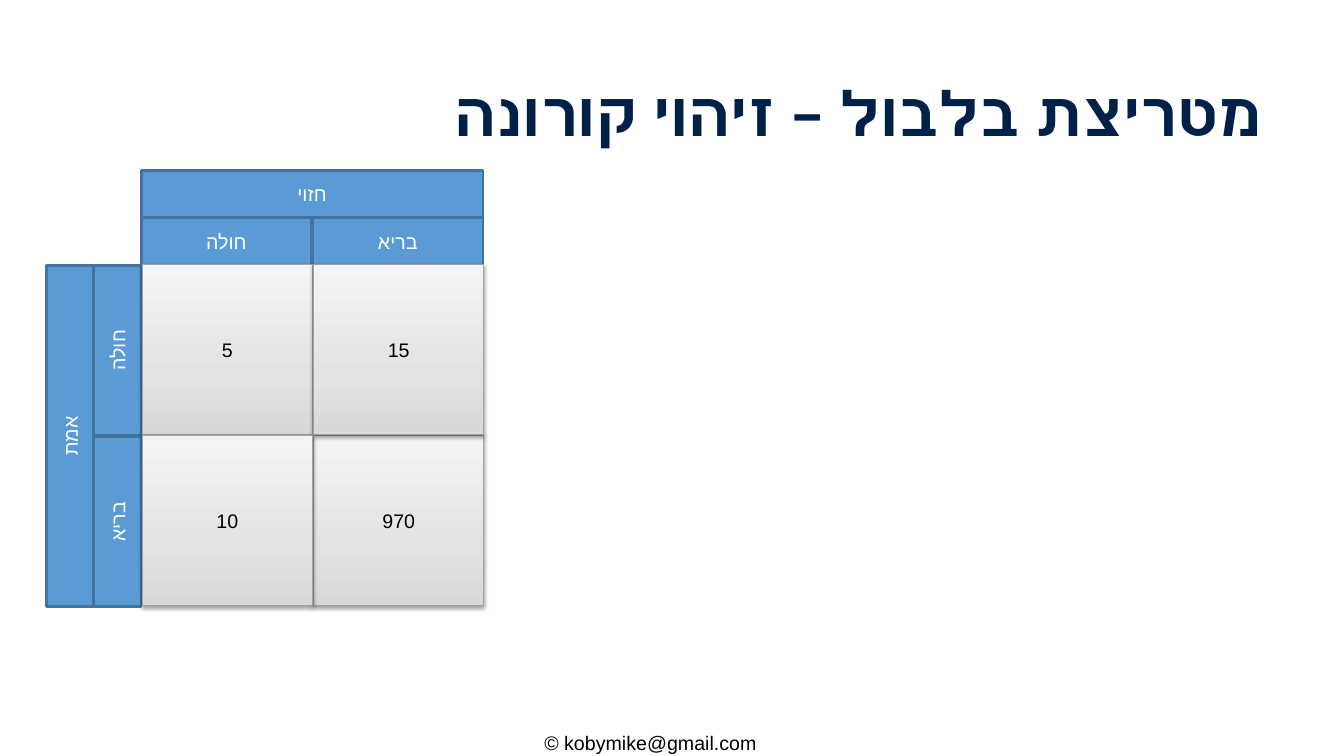
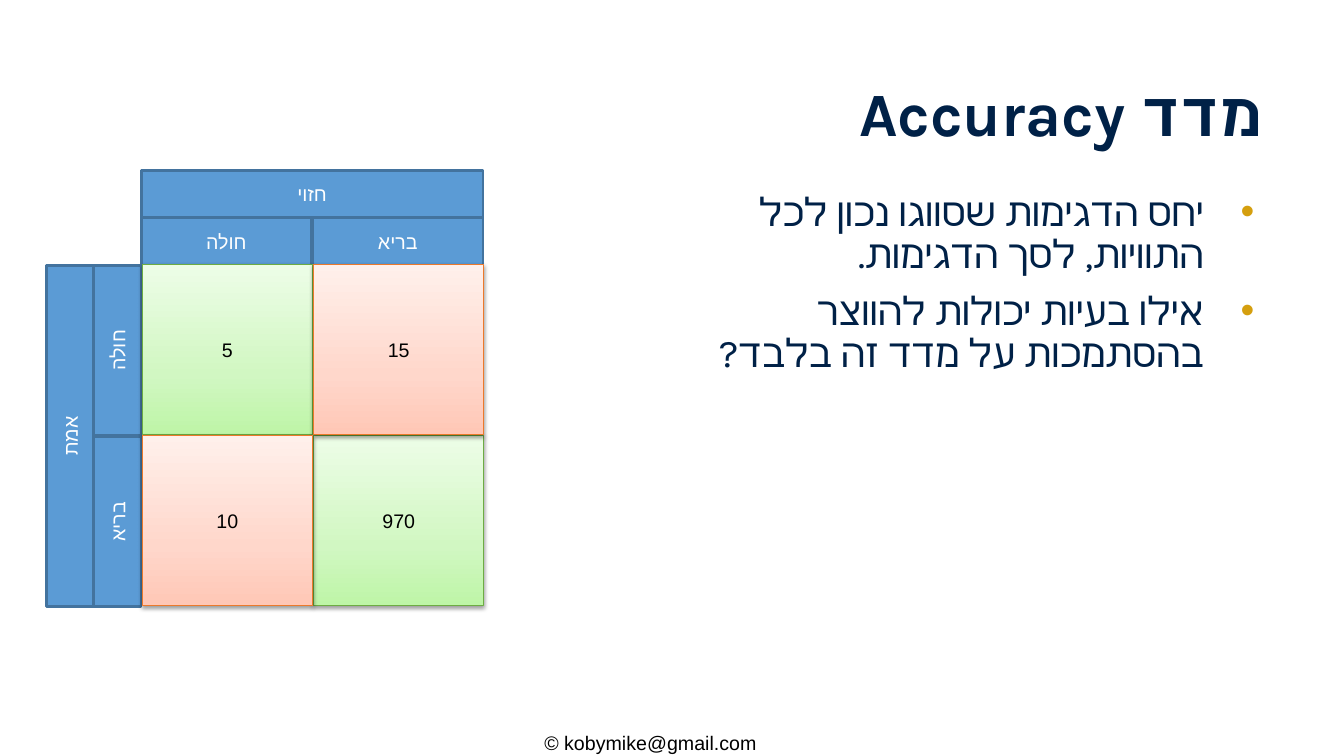
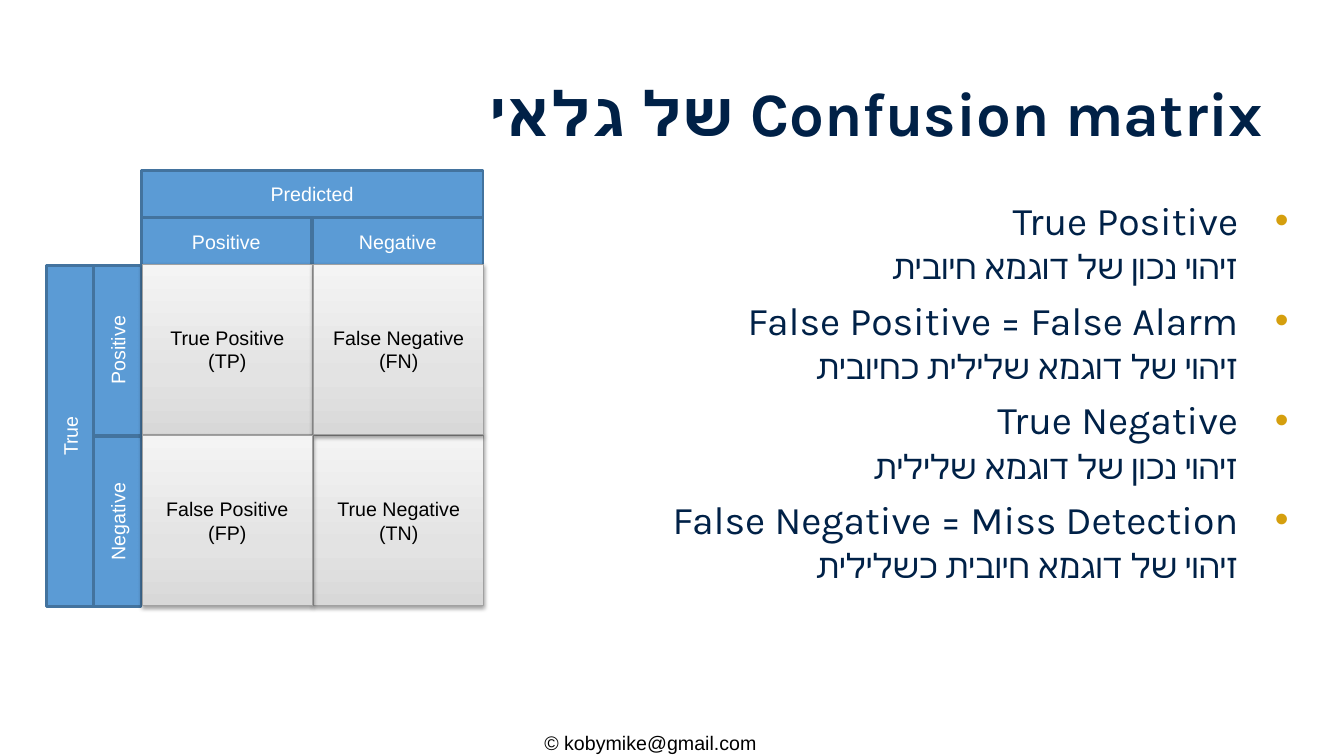
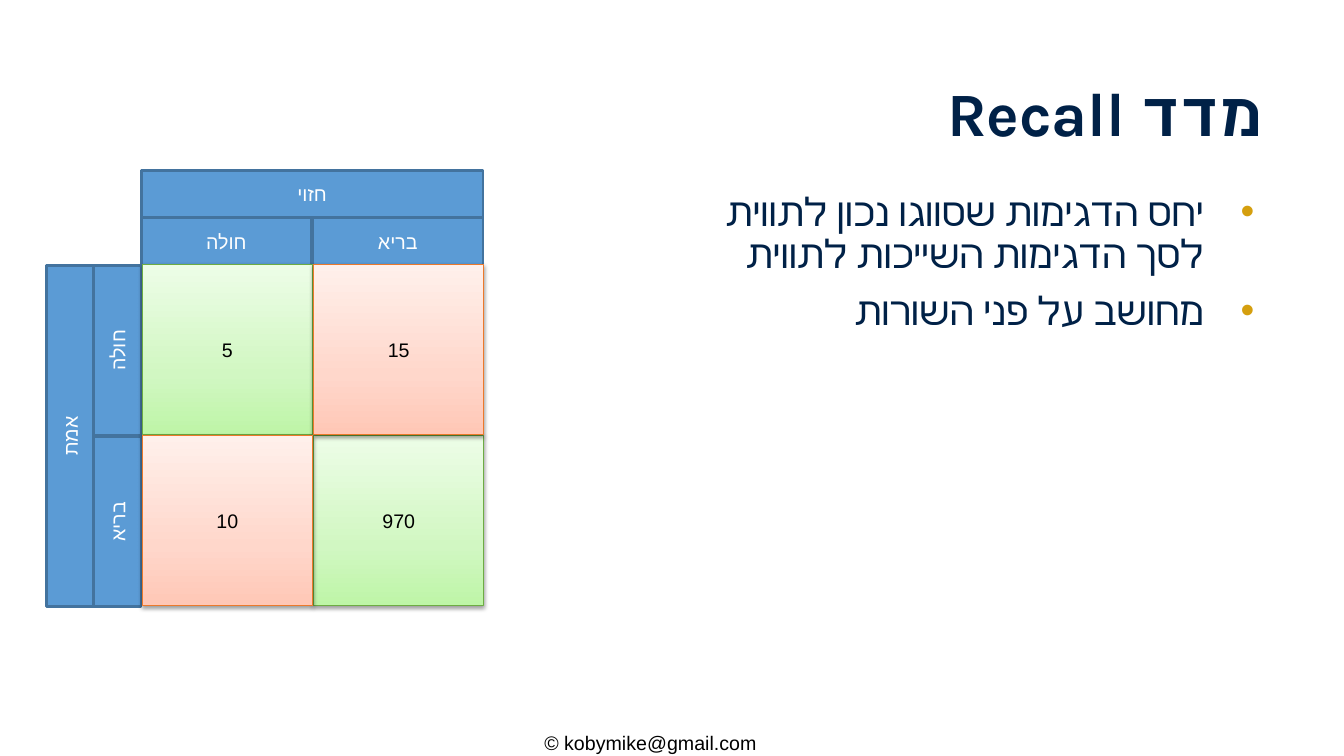
from dataclasses import dataclass

from lxml import etree
from pptx import Presentation
from pptx.dml.color import RGBColor
from pptx.enum.shapes import MSO_SHAPE
from pptx.enum.text import MSO_ANCHOR, MSO_AUTO_SIZE, PP_ALIGN
from pptx.oxml.ns import qn
from pptx.util import Inches, Pt

RECTANGLE = MSO_SHAPE.RECTANGLE
MIDDLE, TOP = MSO_ANCHOR.MIDDLE, MSO_ANCHOR.TOP
LEFT, CENTER, RIGHT = PP_ALIGN.LEFT, PP_ALIGN.CENTER, PP_ALIGN.RIGHT
NO_FIT = MSO_AUTO_SIZE.NONE
TITLE_AND_BODY, TITLE_ONLY = 1, 5


@dataclass(frozen=True)
class Tone:
    """Gradient from bottom to top and the outline of a matrix cell."""

    bottom: str
    middle: str
    top: str
    line: str


@dataclass(frozen=True)
class Theme:
    """Colours, fonts and type sizes of the deck."""

    navy: str = "002147"
    gold: str = "D59F0E"
    black: str = "000000"
    white: str = "FFFFFF"
    header: str = "5B9BD5"
    header_line: str = "43739E"
    neutral: Tone = Tone("D8D8D8", "E3E3E3", "F4F4F4", "A1A1A1")
    correct: Tone = Tone("BEF5A7", "D1F7C2", "EDFDE7", "6DAC43")
    wrong: Tone = Tone("FFC7B6", "FFD7CB", "FFF0EB", "EC792B")
    text_font: str = "Karla"
    label_font: str = "Arial"
    title_size: int = 44
    body_size: int = 28
    detail_size: int = 24
    label_size: int = 14


THEME = Theme()
FOOTER = "© kobymike@gmail.com"
CELL, PITCH, STRIP = 1.69, 1.7, 0.47
HEADER_LEFT, HEADER_TOP = 1.4, 1.69
GRID_LEFT, GRID_TOP = 1.41, 2.62
SPAN = 2 * CELL + 0.01
HEBREW = ("חזוי", "אמת", ("חולה", "בריא"))
ENGLISH = ("Predicted", "True", ("Positive", "Negative"))
COUNTS = (("5", "15"), ("10", "970"))
OUTCOMES = (("True Positive (TP)", "False Negative (FN)"),
            ("False Positive (FP)", "True Negative (TN)"))


def assign(target, values):
    """Set every attribute named in values on target."""
    for name, value in values.items():
        setattr(target, name, value)


class Builder:
    """Holds the deck style and the current slide."""

    def __init__(self, theme):
        """Start an empty widescreen deck."""
        self.theme = theme
        self.deck = Presentation()
        assign(self.deck, {"slide_width": Inches(13.33), "slide_height": Inches(7.5)})
        self.page = None

    def new_page(self, title, layout):
        """Add a slide with its footer and title."""
        self.page = self.deck.slides.add_slide(self.deck.slide_layouts[layout])
        self.footer()
        self.title(title)

    def place(self, shape, left, top, width, height):
        """Move and size a shape given in inches."""
        assign(shape, {"left": Inches(left), "top": Inches(top),
                       "width": Inches(width), "height": Inches(height)})

    def add_span(self, para, text, size, color, font, bold=False):
        """Add one formatted run to a paragraph."""
        span = para.add_run()
        span.text = text
        assign(span.font, {"size": Pt(size), "bold": bold, "name": font})
        span.font.color.rgb = RGBColor.from_string(color)
        complex_font = etree.SubElement(span._r.get_or_add_rPr(), qn("a:cs"))
        complex_font.set("typeface", font)

    def label(self, shape, text, color, align=CENTER, anchor=MIDDLE):
        """Put a small label inside a shape."""
        assign(shape.text_frame, {"word_wrap": True, "vertical_anchor": anchor})
        para = shape.text_frame.paragraphs[0]
        para.alignment = align
        self.add_span(para, text, self.theme.label_size, color, self.theme.label_font)

    def right_to_left(self, para, margin, indent, before=0, bullet=False):
        """Format a paragraph that reads from the right."""
        properties = para._p.get_or_add_pPr()
        for name, value in {"marL": Inches(margin), "indent": Inches(indent), "rtl": 1}.items():
            properties.set(name, str(value))
        if bullet:
            color = etree.SubElement(properties, qn("a:buClr"))
            etree.SubElement(color, qn("a:srgbClr")).set("val", self.theme.gold)
            etree.SubElement(properties, qn("a:buFont")).set("typeface", self.theme.label_font)
            etree.SubElement(properties, qn("a:buChar")).set("char", "•")
        else:
            etree.SubElement(properties, qn("a:buNone"))
        assign(para, {"alignment": RIGHT, "line_spacing": 0.9, "space_before": Pt(before)})

    def footer(self):
        """Add the copyright line."""
        box = self.page.shapes.add_textbox(Inches(5.3), Inches(7.2), Inches(2.73), Inches(0.4))
        self.label(box, FOOTER, self.theme.black, LEFT, TOP)

    def title(self, text):
        """Fill the title placeholder."""
        box = self.page.shapes.title
        self.place(box, 0.38, 0.4, 12.5, 1.51)
        assign(box.text_frame, {"vertical_anchor": MIDDLE, "word_wrap": True, "auto_size": NO_FIT})
        para = box.text_frame.paragraphs[0]
        self.right_to_left(para, 0.5, -0.25)
        self.add_span(para, text, self.theme.title_size, self.theme.navy,
                      self.theme.text_font, True)

    def body(self, items, left, top, width):
        """Fill the body placeholder with (text, level) items."""
        box = self.page.placeholders[1]
        self.place(box, left, top, width, 4.14)
        frame = box.text_frame
        assign(frame, {"vertical_anchor": TOP, "word_wrap": True, "auto_size": NO_FIT})
        for index, (text, level) in enumerate(items):
            para = frame.add_paragraph() if index else frame.paragraphs[0]
            para.level = level
            before = (5 if level else 10) if index else 0
            self.right_to_left(para, 0.5, 0 if level else -0.5, before, not level)
            size = self.theme.detail_size if level else self.theme.body_size
            self.add_span(para, text, size, self.theme.navy, self.theme.text_font)

    def rectangle(self, left, top, width, height, line, weight):
        """Add an outlined rectangle without a shadow."""
        shape = self.page.shapes.add_shape(
            RECTANGLE, Inches(left), Inches(top), Inches(width), Inches(height))
        shape.shadow.inherit = False
        shape.line.color.rgb = RGBColor.from_string(line)
        shape.line.width = Pt(weight)
        return shape

    def header(self, text, left, top, length, upright=False):
        """Add a blue header strip, turned to read upwards when upright."""
        if upright:
            left, top = left + (STRIP - length) / 2, top + (length - STRIP) / 2
        shape = self.rectangle(left, top, length, STRIP, self.theme.header_line, 2)
        shape.rotation = 270 if upright else 0
        shape.fill.solid()
        shape.fill.fore_color.rgb = RGBColor.from_string(self.theme.header)
        self.label(shape, text, self.theme.white)

    def cell(self, text, row, column, tone):
        """Add a shaded matrix cell with a soft shadow."""
        shape = self.rectangle(GRID_LEFT + column * PITCH, GRID_TOP + row * PITCH,
                               CELL, CELL, tone.line, 0.75)
        shape.fill.gradient()
        shape.fill.gradient_angle = 90
        properties = shape._element.spPr
        stops = properties.find(".//" + qn("a:gsLst"))
        stops.clear()
        for position, color in ((0, tone.bottom), (35, tone.middle), (100, tone.top)):
            stop = etree.SubElement(stops, qn("a:gs"), pos=str(position * 1000))
            etree.SubElement(stop, qn("a:srgbClr"), val=color)
        shadow = etree.SubElement(
            properties.find(qn("a:effectLst")), qn("a:outerShdw"), blurRad=str(Pt(3.1)),
            dist=str(Pt(1.6)), dir="5400000", rotWithShape="0")
        color = etree.SubElement(shadow, qn("a:srgbClr"), val=self.theme.black)
        etree.SubElement(color, qn("a:alpha"), val="38000")
        self.label(shape, text, self.theme.black)

    def matrix(self, headings, values, correct, wrong):
        """Draw a two by two confusion matrix with its headers."""
        predicted, actual, classes = headings
        self.header(predicted, HEADER_LEFT, HEADER_TOP, SPAN)
        for index, name in enumerate(classes):
            self.header(name, HEADER_LEFT + index * PITCH, HEADER_TOP + STRIP, CELL)
        self.header(actual, HEADER_LEFT - 2 * STRIP, GRID_TOP + 0.01, SPAN, True)
        for index, name in enumerate(classes):
            self.header(name, HEADER_LEFT - STRIP, GRID_TOP + 0.01 + index * PITCH, CELL, True)
        for row, column in ((0, 0), (1, 1), (0, 1), (1, 0)):
            tone = correct if row == column else wrong
            self.cell(values[row][column], row, column, tone)


def main():
    """Build the four slides and save the deck."""
    builder = Builder(THEME)
    neutral = (THEME.neutral, THEME.neutral)
    marked = (THEME.correct, THEME.wrong)
    narrow, wide = (6.83, 1.86, 5.71), (5.5, 1.95, 7.38)
    pages = (
        ("מטריצת בלבול – זיהוי קורונה", HEBREW, COUNTS, neutral, narrow, ()),
        ("מדד Accuracy", HEBREW, COUNTS, marked, narrow, (
            ("יחס הדגימות שסווגו נכון לכל התוויות, לסך הדגימות.", 0),
            ("אילו בעיות יכולות להווצר בהסתמכות על מדד זה בלבד?", 0))),
        ("Confusion matrix של גלאי", ENGLISH, OUTCOMES, neutral, wide, (
            ("True Positive", 0),
            ("זיהוי נכון של דוגמא חיובית", 1),
            ("False Positive = False Alarm", 0),
            ("זיהוי של דוגמא שלילית כחיובית", 1),
            ("True Negative", 0),
            ("זיהוי נכון של דוגמא שלילית", 1),
            ("False Negative = Miss Detection", 0),
            ("זיהוי של דוגמא חיובית כשלילית", 1))),
        ("מדד Recall", HEBREW, COUNTS, marked, narrow, (
            ("יחס הדגימות שסווגו נכון לתווית לסך הדגימות השייכות לתווית", 0),
            ("מחושב על פני השורות", 0))),
    )
    for title, headings, values, tones, area, items in pages:
        builder.new_page(title, TITLE_AND_BODY if items else TITLE_ONLY)
        builder.matrix(headings, values, *tones)
        if items:
            builder.body(items, *area)
    builder.deck.save("out.pptx")


if __name__ == "__main__":
    main()
